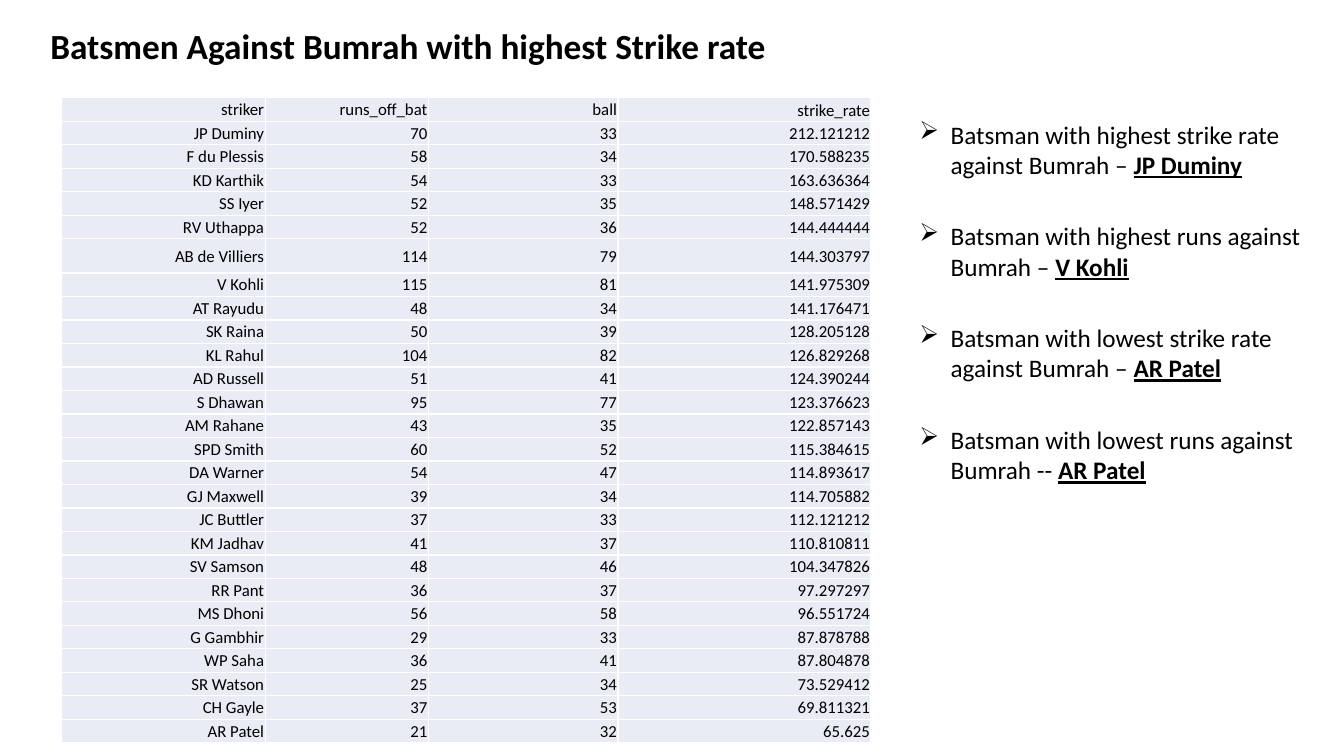
import lxml.etree
import pptx
import pptx.dml.color
import pptx.enum.text
import pptx.oxml.ns
import pptx.util

Inches, Pt = pptx.util.Inches, pptx.util.Pt
ANCHOR = pptx.enum.text.MSO_ANCHOR
BLACK = pptx.dml.color.RGBColor(0, 0, 0)
WHITE = pptx.dml.color.RGBColor(255, 255, 255)
PALE_BLUE = pptx.dml.color.RGBColor(0xE9, 0xEB, 0xF5)
FONT = "Calibri"

# Content
HEADING = "Batsmen Against Bumrah with highest Strike rate"
HEADER = ("striker", "runs_off_bat", "ball", "strike_rate")
BATSMEN = [  # striker, runs, balls; the strike rate follows from these
    ("JP Duminy", 70, 33), ("F du Plessis", 58, 34), ("KD Karthik", 54, 33),
    ("SS Iyer", 52, 35), ("RV Uthappa", 52, 36), ("AB de Villiers", 114, 79),
    ("V Kohli", 115, 81), ("AT Rayudu", 48, 34), ("SK Raina", 50, 39),
    ("KL Rahul", 104, 82), ("AD Russell", 51, 41), ("S Dhawan", 95, 77),
    ("AM Rahane", 43, 35), ("SPD Smith", 60, 52), ("DA Warner", 54, 47),
    ("GJ Maxwell", 39, 34), ("JC Buttler", 37, 33), ("KM Jadhav", 41, 37),
    ("SV Samson", 48, 46), ("RR Pant", 36, 37), ("MS Dhoni", 56, 58),
    ("G Gambhir", 29, 33), ("WP Saha", 36, 41), ("SR Watson", 25, 34),
    ("CH Gayle", 37, 53), ("AR Patel", 21, 32),
]
FINDINGS = [  # statement, batsman, box width
    ("Batsman with highest strike rate against Bumrah – ", "JP Duminy", 3.99),
    ("Batsman with highest runs against Bumrah – ", "V Kohli", 4.25),
    ("Batsman with lowest strike rate against Bumrah – ", "AR Patel", 3.99),
    ("Batsman with lowest runs against Bumrah -- ", "AR Patel", 3.99),
]

# Layout in inches
TABLE_LEFT, TABLE_TOP, TABLE_HEIGHT = 0.61, 0.97, 6.41
COLUMN_WIDTHS = (2.02, 1.62, 1.88, 2.51)
TALL_STRIKER, TALL_HEIGHT = "AB de Villiers", 0.34
ROW_HEIGHT = (TABLE_HEIGHT - TALL_HEIGHT) / len(BATSMEN)
FINDINGS_LEFT, FINDINGS_TOP, FINDINGS_PITCH = 9.02, 1.13, 1.01
BULLET_INDENT = Inches(0.31)


def add_run(paragraph, text, size, bold=False, underline=False):
    run = paragraph.add_run()
    run.text = text
    run.font.name, run.font.size = FONT, Pt(size)
    run.font.bold, run.font.underline = bold, underline
    run.font.color.rgb = BLACK


def add_text_frame(left, top, width, height):
    frame = slide.shapes.add_textbox(*map(Inches, (left, top, width, height))).text_frame
    frame.word_wrap = True
    return frame


def add_xml(parent, tag, **attributes):
    return lxml.etree.SubElement(parent, pptx.oxml.ns.qn(tag), attributes)


def style_cell(cell):
    cell.margin_left = cell.margin_right = cell.margin_top = Inches(0.01)
    cell.margin_bottom = 0
    cell.vertical_anchor = ANCHOR.MIDDLE
    properties = cell._tc.get_or_add_tcPr()
    for side in ("a:lnL", "a:lnR", "a:lnT", "a:lnB"):
        border = add_xml(properties, side, w=str(Pt(1)))
        add_xml(add_xml(border, "a:solidFill"), "a:srgbClr", val=str(WHITE))
    cell.fill.solid()
    cell.fill.fore_color.rgb = PALE_BLUE


presentation = pptx.Presentation()
presentation.slide_width, presentation.slide_height = Inches(13.33), Inches(7.5)
slide = presentation.slides.add_slide(presentation.slide_layouts[6])

# Heading
heading = add_text_frame(0.4, 0.13, 7.32, 0.7)
heading.vertical_anchor = ANCHOR.MIDDLE
heading.paragraphs[0].line_spacing = 0.9
add_run(heading.paragraphs[0], HEADING, 25.2, bold=True)

# Findings
for index, (statement, batsman, width) in enumerate(FINDINGS):
    finding = add_text_frame(FINDINGS_LEFT, FINDINGS_TOP + index * FINDINGS_PITCH,
                             width, 0.71 if index == len(FINDINGS) - 1 else FINDINGS_PITCH)
    paragraph = finding.paragraphs[0]
    properties = paragraph._p.get_or_add_pPr()
    properties.set("marL", str(BULLET_INDENT))
    properties.set("indent", str(-BULLET_INDENT))
    add_xml(properties, "a:buChar", char="➢")
    add_run(paragraph, statement, 18)
    add_run(paragraph, batsman, 18, bold=True, underline=True)

# Strike rate table
records = [HEADER] + [
    (striker, str(runs), str(balls), f"{100 * runs / balls:.6f}".rstrip("0"))
    for striker, runs, balls in BATSMEN
]
strike_rates = slide.shapes.add_table(
    len(records), len(HEADER), Inches(TABLE_LEFT), Inches(TABLE_TOP),
    Inches(sum(COLUMN_WIDTHS)), Inches(TABLE_HEIGHT)).table
strike_rates.first_row = strike_rates.horz_banding = False
for column, width in zip(strike_rates.columns, COLUMN_WIDTHS):
    column.width = Inches(width)
for row, record in zip(strike_rates.rows, records):
    row.height = Inches(TALL_HEIGHT if record[0] == TALL_STRIKER else ROW_HEIGHT)
    for cell, value in zip(row.cells, record):
        style_cell(cell)
        paragraph = cell.text_frame.paragraphs[0]
        paragraph.alignment = pptx.enum.text.PP_ALIGN.RIGHT
        add_run(paragraph, value, 12)
strike_rates.cell(0, len(HEADER) - 1).vertical_anchor = ANCHOR.BOTTOM

presentation.save("out.pptx")
